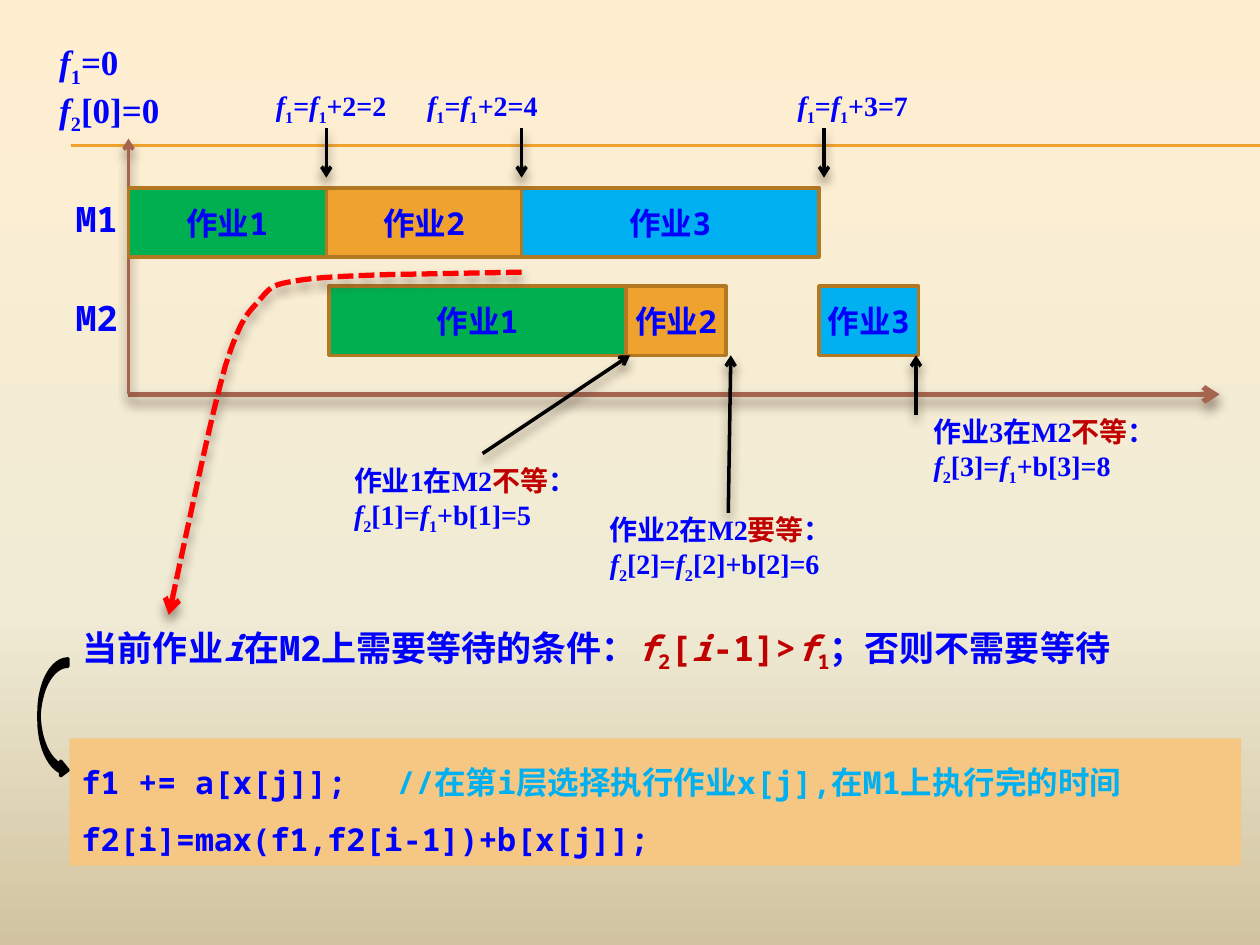
from copy import deepcopy

from lxml import etree
from pptx import Presentation
from pptx.dml.color import RGBColor
from pptx.enum.dml import MSO_LINE
from pptx.enum.shapes import MSO_CONNECTOR, MSO_SHAPE
from pptx.enum.text import MSO_ANCHOR, PP_ALIGN
from pptx.oxml.ns import qn
from pptx.util import Inches, Pt

BLUE = RGBColor(0x00, 0x00, 0xFF)
DARK_RED = RGBColor(0xC0, 0x00, 0x00)
RED = RGBColor(0xFF, 0x00, 0x00)
BLACK = RGBColor(0x00, 0x00, 0x00)
GREEN = RGBColor(0x00, 0xB0, 0x50)
ORANGE = RGBColor(0xF0, 0xA2, 0x2E)
SKY = RGBColor(0x00, 0xB0, 0xF0)
BROWN = RGBColor(0xB2, 0x78, 0x22)
AXIS = RGBColor(0xA5, 0x64, 0x4E)
PEACH = RGBColor(0xF6, 0xC7, 0x82)
SHADE = RGBColor(0x4E, 0x3B, 0x30)
BACKDROP = [(0, RGBColor(0xFF, 0xEF, 0xD1)), (0.65, RGBColor(0xF0, 0xEB, 0xD5)),
            (1, RGBColor(0xD1, 0xC3, 0x9F))]
MONO = "Noto Sans Mono"
SERIF = "Times New Roman"

# Formula pieces: (text, marks), with i = italic, s = subscript, r = red, c = comment
F1 = [("f", "i"), ("1", "s")]
F2 = [("f", "i"), ("2", "s")]
INK = {"r": DARK_RED, "c": SKY}


def add_runs(para, pieces, size, font):
    for text, marks in pieces:
        span = para.add_run()
        span.text = text
        span.font.name, span.font.size, span.font.bold = font, Pt(size), True
        span.font.color.rgb = next((INK[m] for m in marks if m in INK), BLUE)
        if "i" in marks:
            span.font.italic = True
        if "s" in marks:
            span.font._element.set("baseline", "-25000")


def add_text(page, left, top, width, height, lines, size=16, font=SERIF, inset=(0, 0)):
    box = page.shapes.add_textbox(Inches(left), Inches(top), Inches(width), Inches(height))
    fill_frame(box.text_frame, lines, size, font, inset)
    return box


def fill_frame(frame, lines, size, font, inset):
    frame.word_wrap = True
    frame.margin_left = frame.margin_right = Inches(inset[0])
    frame.margin_top = frame.margin_bottom = Inches(inset[1])
    for number, pieces in enumerate(lines):
        para = frame.add_paragraph() if number else frame.paragraphs[0]
        add_runs(para, pieces, size, font)


def style_line(part, color, width, arrow=True):
    """Colour a line and give arrows an open head and a soft shadow."""
    part.line.color.rgb = color
    part.line.width = Pt(width)
    props = part.element.spPr
    for old in props.findall(qn("a:effectLst")):
        props.remove(old)
    effects = etree.SubElement(props, qn("a:effectLst"))
    if arrow:
        etree.SubElement(props.find(qn("a:ln")), qn("a:tailEnd"), type="arrow")
        shadow = etree.SubElement(effects, qn("a:outerShdw"), blurRad=str(Pt(6)),
                                  dist=str(Pt(4)), dir="5400000", rotWithShape="0")
        tint = etree.SubElement(shadow, qn("a:srgbClr"), val=str(SHADE))
        etree.SubElement(tint, qn("a:alpha"), val="60000")


def add_line(page, x1, y1, x2, y2, color=BLACK, width=2, arrow=True):
    line = page.shapes.add_connector(MSO_CONNECTOR.STRAIGHT, Inches(x1), Inches(y1),
                                     Inches(x2), Inches(y2))
    style_line(line, color, width, arrow)


def add_block(page, kind, left, top, width, height, fill, border=None):
    block = page.shapes.add_shape(kind, Inches(left), Inches(top), Inches(width), Inches(height))
    block.shadow.inherit = False
    block.fill.solid()
    block.fill.fore_color.rgb = fill
    if border is None:
        block.line.fill.background()
    else:
        block.line.color.rgb = border
        block.line.width = Pt(2)
    return block


def backdrop(page):
    fill = page.background.fill
    fill.gradient()
    fill.gradient_angle = 270
    stops = next(page.element.iter(qn("a:gsLst")))
    stops.append(deepcopy(stops[-1]))
    for stop, (position, color) in zip(fill.gradient_stops, BACKDROP):
        stop.position = position
        stop.color.rgb = color
    for y in (1.15, 1.16):
        add_line(page, 0.56, y, 10, y, ORANGE, 0.75, arrow=False)


def machine_row(page, left, top, name, jobs):
    """One machine: its label, then a bar per (number, start, length, colour)."""
    add_text(page, left - 0.42, top + 0.08, 0.4, 0.34, [[(name, "")]], 20, MONO)
    for number, start, length, color in jobs:
        bar = add_block(page, MSO_SHAPE.RECTANGLE, left + start, top, length, 0.55, color, BROWN)
        fill_frame(bar.text_frame, [[(f"作业{number}", "")]], 18, MONO, (0, 0.05))
        bar.text_frame.vertical_anchor = MSO_ANCHOR.MIDDLE
        bar.text_frame.paragraphs[0].alignment = PP_ALIGN.CENTER


def schedule(page, left, top):
    # Axes
    add_line(page, left, top + 2.03, left + 8.66, top + 2.03, AXIS, 3)
    add_line(page, left, top + 2.03, left, top, AXIS, 2)
    # Starting values
    add_text(page, left - 0.55, top - 0.78, 1.02, 0.67,
             [F1 + [("=0", "")], F2 + [("[0]=0", "")]], 20)
    # Bars
    machine_row(page, left, top + 0.39, "M1",
                [(2, 1.56, 1.57, ORANGE), (1, 0, 1.57, GREEN), (3, 3.12, 2.36, SKY)])
    machine_row(page, left, top + 1.17, "M2",
                [(1, 1.59, 2.36, GREEN), (2, 3.95, 0.79, ORANGE), (3, 5.48, 0.79, SKY)])
    # Finishing times on M1
    for text_x, arrow_x, sum_text in [(1.17, 1.57, "+2=2"), (2.37, 3.12, "+2=4"),
                                      (5.31, 5.52, "+3=7")]:
        add_text(page, left + text_x, top - 0.4, 1.09, 0.27,
                 [F1 + [("=", "")] + F1 + [(sum_text, "")]])
        add_line(page, left + arrow_x, top - 0.08, left + arrow_x, top + 0.31)


def waiting_notes(page, left, top):
    """Notes below the M2 bars; top is the lower edge of the bars."""
    notes = [
        (1, "不等", F1, "+b[1]=5", (1.79, 0.86, 1.95), (2.81, 0.78, 3.98)),
        (2, "要等", F2, "[2]+b[2]=6", (3.82, 1.25, 1.88), (4.76, 1.25, 4.78)),
        (3, "不等", F1, "+b[3]=8", (6.39, 0.47, 2.03), (6.25, 0.47, 6.25)),
    ]
    for number, verdict, base, rest, (x, y, width), (tail_x, tail_y, head_x) in notes:
        pieces = [(f"作业{number}在M2", ""), (verdict, "r"), ("：", "")]
        pieces += F2 + [(f"[{number}]=", "")] + base + [(rest, "")]
        add_text(page, left + x, top + y, width, 0.54, [pieces])
        add_line(page, left + tail_x, top + tail_y, left + head_x, top)


def condition(page, left, top):
    add_text(page, left, top, 8.83, 0.44, [[
        ("当前作业", ""), ("i", "i"), ("在M2上需要等待的条件：", ""),
        ("f", "ir"), ("2", "sr"), ("[", "r"), ("i", "ir"), ("-1]>", "r"),
        ("f", "ir"), ("1", "sr"), ("；否则不需要等待", "")]], 20, MONO, (0.1, 0.05))
    # Dashed curve leading down to the condition
    curves = [
        [(2.51, -2.74), (2.21, -2.73), (1.95, -2.72), (1.78, -2.69)],
        [(1.78, -2.69), (1.62, -2.66), (1.6, -2.66), (1.51, -2.55)],
        [(1.51, -2.55), (1.42, -2.44), (1.36, -2.43), (1.23, -2.02)],
        [(1.23, -2.02), (1.11, -1.6), (0.95, -0.82), (0.78, -0.04)],
    ]
    points = [(2.51, -2.74)]
    for curve in curves:
        for step in range(1, 9):
            t = step / 8
            weights = [(1 - t) ** 3, 3 * t * (1 - t) ** 2, 3 * t * t * (1 - t), t ** 3]
            points.append(tuple(sum(w * p[axis] for w, p in zip(weights, curve))
                                for axis in (0, 1)))
    points = [(Inches(left + x), Inches(top + y)) for x, y in points]
    start = (Inches(left + 3.58), Inches(top - 2.76))
    builder = page.shapes.build_freeform(*start)
    builder.add_line_segments(points, close=False)
    route = builder.convert_to_shape()
    route.fill.background()
    route.line.dash_style = MSO_LINE.SQUARE_DOT
    style_line(route, RED, 3)


def code_panel(page, left, top):
    panel = add_block(page, MSO_SHAPE.RECTANGLE, left, top, 9.3, 1.01, PEACH)
    fill_frame(panel.text_frame, [
        [("f1 += a[x[j]];\t", ""), ("//在第i层选择执行作业x[j],在M1上执行完的时间", "c")],
        [("f2[i]=max(f1,f2[i-1])+b[x[j]];", "")]], 18, MONO, (0.1, 0.05))
    panel.text_frame.vertical_anchor = MSO_ANCHOR.TOP
    for para in panel.text_frame.paragraphs:
        para.alignment = PP_ALIGN.LEFT
        para.line_spacing = 1.5
    # Arrow from the condition to the code
    add_block(page, MSO_SHAPE.CURVED_RIGHT_ARROW, left - 0.24, top - 0.63, 0.23, 0.94,
              BLACK, BLACK)


def main():
    deck = Presentation()
    deck.slide_width, deck.slide_height = Inches(10), Inches(7.5)
    page = deck.slides.add_slide(deck.slide_layouts[6])
    backdrop(page)
    schedule(page, 1.02, 1.1)
    waiting_notes(page, 1.02, 2.82)
    condition(page, 0.56, 4.92)
    code_panel(page, 0.55, 5.86)
    deck.save("out.pptx")


if __name__ == "__main__":
    main()
